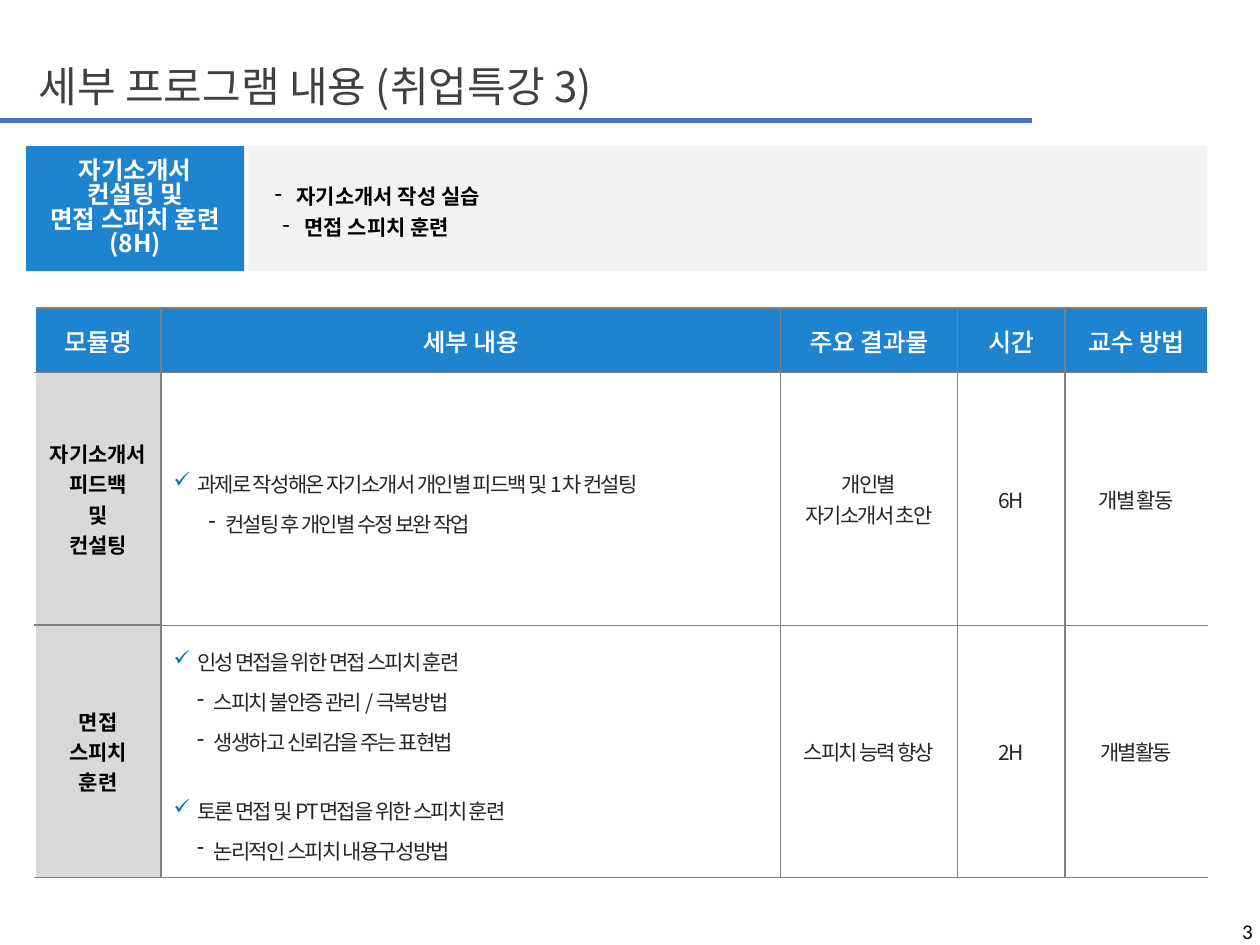
from dataclasses import dataclass

from lxml.etree import SubElement
from pptx import Presentation
from pptx.dml.color import RGBColor
from pptx.enum.shapes import MSO_CONNECTOR, MSO_SHAPE
from pptx.enum.text import MSO_ANCHOR, PP_ALIGN
from pptx.oxml import parse_xml
from pptx.oxml.ns import nsdecls, qn
from pptx.util import Pt


@dataclass(frozen=True)
class Theme:
    font: str = "Noto Sans CJK KR"
    number_font: str = "Calibri"
    blue: str = "1F84CF"
    rule: str = "4472C4"
    check: str = "0070C0"
    border: str = "808080"
    panel: str = "F2F2F2"
    module: str = "D9D9D9"
    title: str = "404040"
    body: str = "262626"
    black: str = "000000"
    white: str = "FFFFFF"
    title_size: int = 24
    heading_size: int = 14
    body_size: int = 12


THEME = Theme()

HEADERS = ["모듈명", "세부 내용", "주요 결과물", "시간", "교수 방법"]
MODULES = [
    {
        "name": ["자기소개서", "피드백", "및", "컨설팅"],
        "details": [
            ("과제로 작성해온 자기소개서 개인별 피드백 및 1차 컨설팅", ["컨설팅 후 개인별 수정 보완 작업"]),
        ],
        "detail_indent": 20,
        "facts": [["개인별", "자기소개서 초안"], ["6H"], ["개별 활동"]],
    },
    {
        "name": ["면접", "스피치", "훈련"],
        "details": [
            ("인성 면접을 위한 면접 스피치 훈련", ["스피치 불안증 관리 / 극복방법", "생생하고 신뢰감을 주는 표현법"]),
            ("토론 면접 및 PT면접을 위한 스피치 훈련", ["논리적인 스피치 내용구성방법"]),
        ],
        "detail_indent": 13.5,
        "facts": [["스피치 능력 향상"], ["2H"], ["개별활동"]],
    },
]


def rgb(color):
    return RGBColor.from_string(color)


def add_paragraph(frame, text, size, color, bold=False, align=PP_ALIGN.LEFT, line_spacing=None,
                  font=THEME.font, tracking=0):
    paragraph = frame.paragraphs[0]
    if paragraph.runs:
        paragraph = frame.add_paragraph()
    paragraph.add_run().text = text
    paragraph.alignment = align
    if line_spacing:
        paragraph.line_spacing = line_spacing
    paragraph.font.size = Pt(size)
    paragraph.font.bold = bold
    paragraph.font.color.rgb = rgb(color)
    paragraph.font.name = font
    properties = paragraph._p.pPr.find(qn("a:defRPr"))
    SubElement(properties, qn("a:ea")).set("typeface", font)
    if tracking:
        properties.set("spc", str(tracking * 100))
    return paragraph


def add_bullet(paragraph, character, color, margin, hanging):
    properties = paragraph._p.pPr
    properties.set("marL", str(Pt(margin)))
    properties.set("indent", str(-Pt(hanging)))
    defaults = properties.find(qn("a:defRPr"))
    defaults.addprevious(parse_xml(
        f'<a:buClr {nsdecls("a")}><a:srgbClr val="{color}"/></a:buClr>'))
    defaults.addprevious(parse_xml(f'<a:buChar {nsdecls("a")} char="{character}"/>'))


def add_text_box(slide, left, top, width, height):
    frame = slide.shapes.add_textbox(Pt(left), Pt(top), Pt(width), Pt(height)).text_frame
    frame.word_wrap = True
    frame.vertical_anchor = MSO_ANCHOR.MIDDLE
    return frame


def add_panel(slide, left, top, width, height, color):
    shape = slide.shapes.add_shape(MSO_SHAPE.RECTANGLE, Pt(left), Pt(top), Pt(width), Pt(height))
    shape.shadow.inherit = False
    shape.fill.solid()
    shape.fill.fore_color.rgb = rgb(color)
    shape.line.fill.background()
    shape.text_frame.word_wrap = True
    shape.text_frame.vertical_anchor = MSO_ANCHOR.MIDDLE
    return shape.text_frame


def add_title(slide, left, top, width, height):
    frame = add_text_box(slide, left, top, width, height)
    add_paragraph(frame, "세부 프로그램 내용 (취업특강 3)", THEME.title_size, THEME.title, line_spacing=0.9)
    rule_y = top + height - 8
    rule = slide.shapes.add_connector(
        MSO_CONNECTOR.STRAIGHT, Pt(0), Pt(rule_y), Pt(590), Pt(rule_y))
    rule.line.color.rgb = rgb(THEME.rule)
    rule.line.width = Pt(3)
    SubElement(rule._element.spPr, qn("a:effectLst"))


def add_summary(slide, left, top, width, height):
    label_width, gap = 124.5, 2.5
    label = add_panel(slide, left, top, label_width, height, THEME.blue)
    for line in ["자기소개서", "컨설팅 및", "면접 스피치 훈련 (8H)"]:
        add_paragraph(label, line, THEME.heading_size, THEME.white, True, PP_ALIGN.CENTER, 0.83)
    offset = label_width + gap
    scope = add_panel(slide, left + offset, top, width - offset, height, THEME.panel)
    for line, margin in [("자기소개서 작성 실습", 20.5), ("면접 스피치 훈련", 25)]:
        paragraph = add_paragraph(scope, line, THEME.body_size, THEME.black, True, line_spacing=1.25)
        add_bullet(paragraph, "-", THEME.black, margin, 12.5)


def set_borders(cell, edges):
    properties = cell._tc.get_or_add_tcPr()
    for position, (edge, (color, width)) in enumerate(edges.items()):
        properties.insert(position, parse_xml(
            f'<a:{edge} {nsdecls("a")} w="{Pt(width)}"><a:solidFill>'
            f'<a:srgbClr val="{color}"/></a:solidFill></a:{edge}>'))


def style_cell(cell, row, column, last_row, last_column):
    fill = THEME.blue if row == 0 else THEME.module if column == 0 else THEME.white
    cell.fill.solid()
    cell.fill.fore_color.rgb = rgb(fill)
    cell.vertical_anchor = MSO_ANCHOR.MIDDLE
    cell.margin_top = cell.margin_bottom = Pt(3.6 if row == 0 else 2.9)
    strong = (THEME.border, 1)
    thin = (THEME.border, 0.75 if column else 1)
    outer = (THEME.white, 1)
    set_borders(cell, {
        "lnL": strong if column else outer,
        "lnR": strong if column < last_column else outer,
        "lnT": thin if row == last_row else strong,
        "lnB": thin if 0 < row < last_row else strong,
    })


def fill_header(cell, text):
    paragraph = add_paragraph(
        cell.text_frame, text, THEME.heading_size, THEME.white, align=PP_ALIGN.CENTER)
    paragraph._p.pPr.find(qn("a:defRPr")).insert(0, parse_xml(
        f'<a:ln {nsdecls("a")} w="{Pt(0.75)}"><a:solidFill>'
        f'<a:srgbClr val="{THEME.white}"/></a:solidFill></a:ln>'))


def fill_details(frame, details, indent):
    for index, (topic, points) in enumerate(details):
        for position, text in enumerate([topic, *points]):
            paragraph = add_paragraph(
                frame, text, THEME.body_size, THEME.body, line_spacing=1.3, tracking=-1)
            if position == 0:
                paragraph.space_before = Pt(17 if index else 0)
                add_bullet(paragraph, "✓", THEME.check, 13.5, 13.5)
            else:
                add_bullet(paragraph, "-", THEME.body, indent + 9.5, 9.5)


def add_module_table(slide, left, top, width, height):
    column_widths = [72, 354, 101, 61.5, width - 588.5]
    header_height = 37
    module_height = (height - header_height) / len(MODULES)
    table = slide.shapes.add_table(
        len(MODULES) + 1, len(HEADERS), Pt(left), Pt(top), Pt(width), Pt(height)).table
    table.first_row = table.horz_banding = False
    for column, column_width in zip(table.columns, column_widths):
        column.width = Pt(column_width)
    for index, row in enumerate(table.rows):
        row.height = Pt(module_height if index else header_height)
        for column, cell in enumerate(row.cells):
            style_cell(cell, index, column, len(MODULES), len(HEADERS) - 1)
    for column, text in enumerate(HEADERS):
        fill_header(table.cell(0, column), text)
    for row, module in enumerate(MODULES, 1):
        for line in module["name"]:
            add_paragraph(table.cell(row, 0).text_frame, line, THEME.body_size, THEME.black,
                          True, PP_ALIGN.CENTER)
        fill_details(table.cell(row, 1).text_frame, module["details"], module["detail_indent"])
        for column, lines in enumerate(module["facts"], 2):
            for line in lines:
                add_paragraph(table.cell(row, column).text_frame, line, THEME.body_size,
                              THEME.body, align=PP_ALIGN.CENTER, tracking=-1)


def add_page_number(slide, left, top, width, height):
    frame = add_text_box(slide, left, top, width, height)
    add_paragraph(frame, "3", THEME.body_size, THEME.black, align=PP_ALIGN.RIGHT,
                  font=THEME.number_font)


def main():
    presentation = Presentation()
    presentation.slide_width, presentation.slide_height = Pt(720), Pt(540)
    slide = presentation.slides.add_slide(presentation.slide_layouts[6])
    add_title(slide, 15, 24.5, 648, 52.5)
    add_summary(slide, 15, 83.5, 675, 71.5)
    add_module_table(slide, 20, 176, 670, 325.5)
    add_page_number(slide, 561, 518, 162, 28.5)
    presentation.save("out.pptx")


if __name__ == "__main__":
    main()
